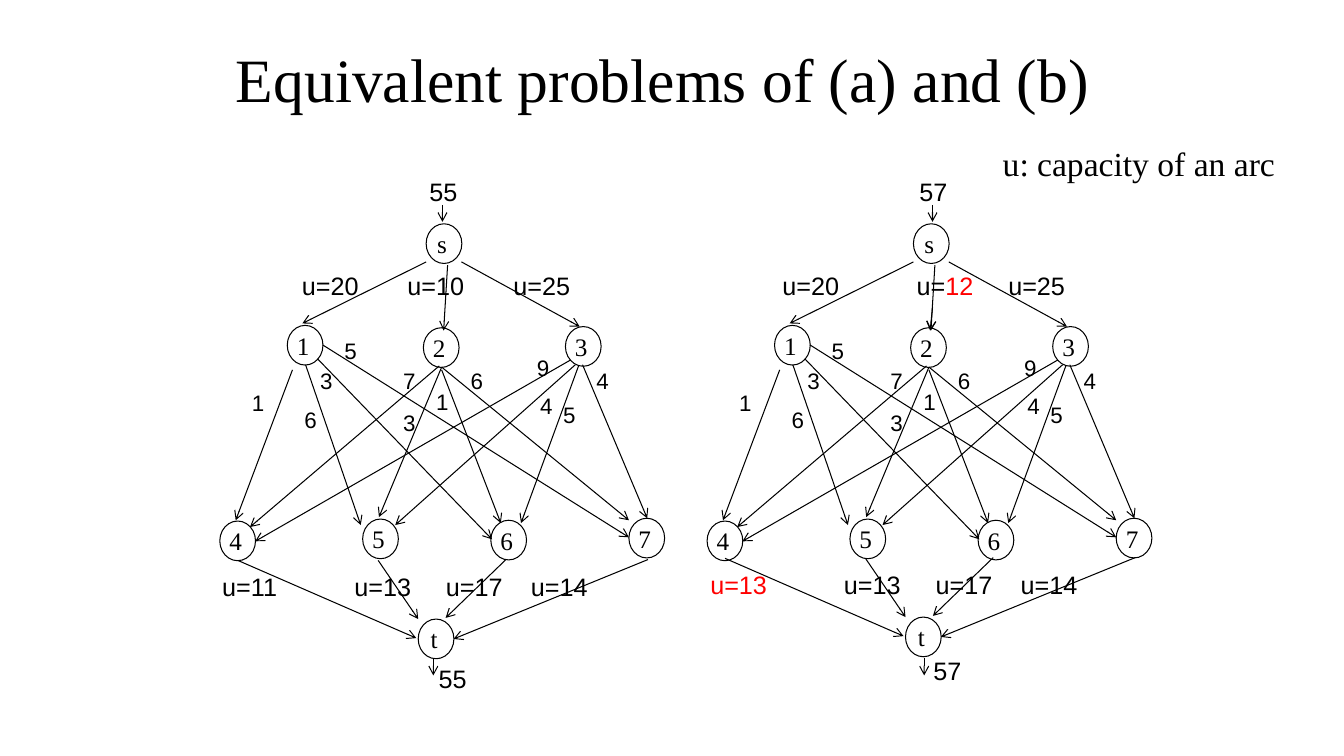
from dataclasses import dataclass

from lxml.etree import SubElement
from pptx import Presentation
from pptx.dml.color import RGBColor
from pptx.enum.shapes import MSO_CONNECTOR, MSO_SHAPE
from pptx.enum.text import MSO_ANCHOR, PP_ALIGN
from pptx.oxml.ns import qn
from pptx.shapes.autoshape import Shape
from pptx.slide import Slide
from pptx.text.text import TextFrame
from pptx.util import Cm, Pt

BLACK = "000000"
RED = "FF0000"
SERIF = "Times New Roman"
SANS = "Arial"
LINE_WIDTH = Pt(0.75)
NODE_WIDTH, NODE_HEIGHT = 0.9, 1.0
SOURCE_LABEL_TOP, SINK_LABEL_TOP = 6.68, 14.27


@dataclass(frozen=True)
class Label:
    text: str
    left: float
    top: float


@dataclass(frozen=True)
class Arc:
    start_x: float
    start_y: float
    end_x: float
    end_y: float


@dataclass(frozen=True)
class Capacity:
    left: float
    value: str
    prefix_color: str = BLACK
    value_color: str = BLACK


@dataclass(frozen=True)
class Network:
    offset: float
    sink_shift: float
    total: str
    inflow_x: float
    outflow_x: float
    inflow_label: tuple[float, float]
    outflow_label: tuple[float, float]
    source_capacities: list[Capacity]
    sink_capacities: list[Capacity]
    extra_arcs: list[Arc]


NODES = [
    Label("1", 7.24, 8.2), Label("2", 10.67, 8.26), Label("3", 14.25, 8.23),
    Label("4", 5.54, 13.13), Label("5", 9.14, 13.08), Label("6", 12.37, 13.11),
    Label("7", 15.85, 13.06), Label("s", 10.74, 5.64),
]
SINK_NODE = Label("t", 10.54, 15.6)

COSTS = [
    Label("1", 6.1, 9.68), Label("1", 10.74, 9.65), Label("6", 7.42, 10.11),
    Label("5", 8.43, 8.38), Label("5", 13.94, 9.98), Label("4", 14.78, 9.12),
    Label("4", 13.36, 9.75), Label("9", 13.28, 8.79), Label("3", 7.82, 9.12),
    Label("7", 9.91, 9.12), Label("3", 9.91, 10.19), Label("6", 11.61, 9.12),
]

SOURCE_ARCS = [
    Arc(10.74, 6.6, 7.62, 8.15),
    Arc(11.28, 6.68, 11.18, 8.33),
    Arc(11.63, 6.6, 14.61, 8.23),
]
MIDDLE_ARCS = [
    Arc(7.37, 9.32, 5.94, 13.11),
    Arc(7.7, 9.19, 9.09, 13.23),
    Arc(8, 9.04, 12.4, 13.59),
    Arc(8.13, 8.69, 15.85, 13.54),
    Arc(11.07, 9.22, 6.3, 13.28),
    Arc(11.13, 9.25, 9.55, 13.03),
    Arc(11.13, 9.32, 12.62, 13.18),
    Arc(11.13, 9.25, 15.85, 13.11),
    Arc(14.38, 9.07, 6.43, 13.64),
    Arc(14.5, 9.19, 9.96, 13.23),
    Arc(14.58, 9.22, 13.13, 13.18),
    Arc(14.68, 9.19, 16.31, 13.06),
]
SINK_ARCS = [
    Arc(5.99, 14.12, 10.49, 16.08),
    Arc(9.53, 14.12, 10.54, 15.6),
    Arc(12.75, 14.1, 11.23, 15.57),
    Arc(16.33, 14.1, 11.43, 16.1),
]

NETWORKS = [
    Network(
        0, 0, "55", 11.15, 10.92, (10.36, 4.32), (10.59, 16.59),
        [Capacity(7.36, "20"), Capacity(10.02, "10"), Capacity(12.69, "25")],
        [Capacity(5.35, "11"), Capacity(8.68, "13"),
         Capacity(10.99, "17"), Capacity(13.13, "14")],
        [],
    ),
    Network(
        12.28, -0.05, "57", 11.22, 11.01, (10.43, 4.32), (10.78, 16.38),
        [Capacity(7.19, "20"), Capacity(10.57, "12", value_color=RED),
         Capacity(12.88, "25")],
        [Capacity(5.37, "13", RED, RED), Capacity(8.74, "13"),
         Capacity(11.05, "17"), Capacity(13.19, "14")],
        [Arc(11.22, 7.75, 11.16, 8.33)],
    ),
]


def color(value: str) -> RGBColor:
    return RGBColor.from_string(value)


def write(frame: TextFrame, runs: list[tuple[str, str]], font_name: str,
          size: int, alignment: PP_ALIGN) -> None:
    paragraph = frame.paragraphs[0]
    paragraph.alignment = alignment
    for text, run_color in runs:
        run = paragraph.add_run()
        run.text = text
        for attribute, value in {"name": font_name, "size": Pt(size)}.items():
            setattr(run.font, attribute, value)
        run.font.color.rgb = color(run_color)


def add_text(slide: Slide, runs: list[tuple[str, str]], left: float, top: float,
             width: float, height: float, font_name: str = SANS, size: int = 18,
             alignment: PP_ALIGN = PP_ALIGN.LEFT) -> Shape:
    shape = slide.shapes.add_textbox(Cm(left), Cm(top), Cm(width), Cm(height))
    shape.text_frame.word_wrap = True
    write(shape.text_frame, runs, font_name, size, alignment)
    return shape


def add_node(slide: Slide, node: Label, offset: float, shift: float = 0) -> None:
    shape = slide.shapes.add_shape(
        MSO_SHAPE.OVAL, Cm(node.left + offset), Cm(node.top + shift),
        Cm(NODE_WIDTH), Cm(NODE_HEIGHT))
    shape.shadow.inherit = False
    shape.fill.background()
    shape.line.color.rgb = color(BLACK)
    shape.line.width = LINE_WIDTH
    frame_format = {
        "margin_left": 0, "margin_right": Cm(0.1), "margin_top": 0,
        "margin_bottom": 0, "vertical_anchor": MSO_ANCHOR.MIDDLE, "word_wrap": False,
    }
    for attribute, value in frame_format.items():
        setattr(shape.text_frame, attribute, value)
    write(shape.text_frame, [(node.text, BLACK)], SERIF, 18, PP_ALIGN.CENTER)


def add_arc(slide: Slide, arc: Arc, offset: float, shift: float = 0) -> None:
    connector = slide.shapes.add_connector(
        MSO_CONNECTOR.STRAIGHT, Cm(arc.start_x + offset), Cm(arc.start_y + shift),
        Cm(arc.end_x + offset), Cm(arc.end_y + shift))
    connector.line.color.rgb = color(BLACK)
    connector.line.width = LINE_WIDTH
    properties = connector.element.spPr
    SubElement(properties.find(qn("a:ln")), qn("a:tailEnd"), type="arrow")
    SubElement(properties, qn("a:effectLst"))


def add_network(slide: Slide, network: Network) -> None:
    offset, shift = network.offset, network.sink_shift
    flow_arcs = [Arc(network.inflow_x, 5.16, network.inflow_x, 5.59),
                 Arc(network.outflow_x, 16.59, network.outflow_x, 17.02)]
    for arc in SOURCE_ARCS + MIDDLE_ARCS + network.extra_arcs + flow_arcs:
        add_arc(slide, arc, offset)
    for arc in SINK_ARCS:
        add_arc(slide, arc, offset, shift)
    for node in NODES:
        add_node(slide, node, offset)
    add_node(slide, SINK_NODE, offset, shift)
    for cost in COSTS:
        add_text(slide, [(cost.text, BLACK)], cost.left + offset, cost.top,
                 1.1, 0.94, size=16)
    for capacities, top in ((network.source_capacities, SOURCE_LABEL_TOP),
                            (network.sink_capacities, SINK_LABEL_TOP + shift)):
        for capacity in capacities:
            runs = [("u=", capacity.prefix_color), (capacity.value, capacity.value_color)]
            add_text(slide, runs, capacity.left + offset, top, 2.2, 1.02)
    for left, top in (network.inflow_label, network.outflow_label):
        add_text(slide, [(network.total, BLACK)], left + offset, top, 1.63, 1.02,
                 alignment=PP_ALIGN.CENTER)


def main() -> None:
    presentation = Presentation()
    presentation.slide_width = Cm(33.87)
    presentation.slide_height = Cm(19.05)
    slide = presentation.slides.add_slide(presentation.slide_layouts[6])
    title = add_text(slide, [("Equivalent problems of (a) and (b)", BLACK)],
                     5.28, 0.43, 22.86, 3.05, SERIF, 44, PP_ALIGN.CENTER)
    title.text_frame.vertical_anchor = MSO_ANCHOR.MIDDLE
    for network in NETWORKS:
        add_network(slide, network)
    add_text(slide, [("u: capacity of an arc", BLACK)], 25.02, 3.48, 7.62, 1.27, SERIF, 24)
    presentation.save("out.pptx")


if __name__ == "__main__":
    main()
